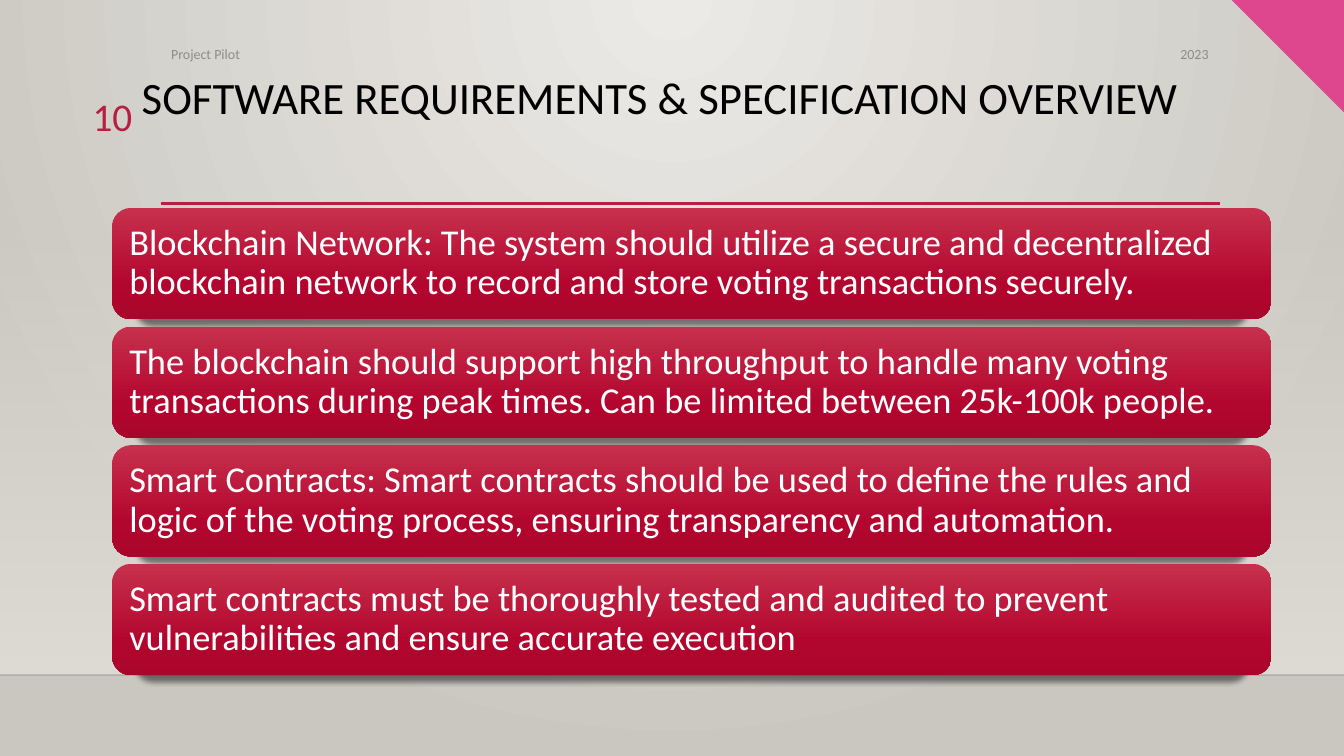
from dataclasses import dataclass

from lxml.etree import SubElement
from pptx import Presentation
from pptx.dml.color import RGBColor
from pptx.enum.shapes import MSO_CONNECTOR, MSO_SHAPE
from pptx.enum.text import MSO_ANCHOR, PP_ALIGN
from pptx.oxml import parse_xml
from pptx.oxml.ns import nsdecls, qn
from pptx.util import Pt

PX = 9525  # EMU per px, 96 px to the inch
FONT = "Calibri"
COLORS = {
    "glow": "ECEAE7", "edge": "CAC7C1", "wall": "DFDBD5", "horizon": "000001",
    "accent": "B71E42", "corner": "DE478E", "black": "000000", "grey": "8C8C8C",
    "white": "FFFFFF", "card_top": "C7304C", "card_middle": "B3062F",
    "card_bottom": "AA062C",
}
DOWN = '<a:lin ang="5400000" scaled="0"/>'
FROM_TOP = '<a:path path="circle"><a:fillToRect l="43000" r="43000" b="100000"/></a:path>'


@dataclass(frozen=True)
class Stop:
    position: int
    color: str
    opacity: int = 100


@dataclass(frozen=True)
class Label:
    text: str
    left: int
    top: int
    width: int
    height: int
    size: int
    color: str
    align: PP_ALIGN = PP_ALIGN.LEFT
    anchor: MSO_ANCHOR = MSO_ANCHOR.MIDDLE
    line_spacing: float = 1.0


@dataclass(frozen=True)
class Rule:
    left: int
    right: int
    top: int
    color: str
    weight: float
    opacity: int = 100


LABELS = [
    Label("SOFTWARE REQUIREMENTS & SPECIFICATION OVERVIEW", 125, 67, 1104, 139, 32,
          "black", anchor=MSO_ANCHOR.TOP, line_spacing=0.9),
    Label("2023", 793, 35, 368, 33, 10, "grey", PP_ALIGN.RIGHT),
    Label("Project Pilot", 153, 35, 623, 33, 10, "grey"),
    Label("10", 51, 84, 85, 53, 28, "accent", PP_ALIGN.RIGHT),
]
RULES = [
    Rule(0, 1280, 643, "horizon", 1, 20),
    Rule(153, 1162, 194, "accent", 2.5),
]
CARD_LEFT, CARD_TOP, CARD_WIDTH, CARD_HEIGHT, CARD_GAP = 107, 198, 1104, 106, 7
CARD_STOPS = [Stop(0, "card_top"), Stop(69, "card_middle"), Stop(100, "card_bottom")]
REQUIREMENTS = [
    "Blockchain Network: The system should utilize a secure and decentralized "
    "blockchain network to record and store voting transactions securely.",
    "The blockchain should support high throughput to handle many voting "
    "transactions during peak times. Can be limited between 25k-100k people.",
    "Smart Contracts: Smart contracts should be used to define the rules and "
    "logic of the voting process, ensuring transparency and automation.",
    "Smart contracts must be thoroughly tested and audited to prevent "
    "vulnerabilities and ensure accurate execution",
]


def rgb(name: str) -> RGBColor:
    return RGBColor.from_string(COLORS[name])


def set_gradient(fill, parent, stops: list[Stop], direction: str) -> None:
    fill.solid()
    stop_xml = "".join(
        f'<a:gs pos="{stop.position * 1000}"><a:srgbClr val="{COLORS[stop.color]}">'
        f'<a:alpha val="{stop.opacity * 1000}"/></a:srgbClr></a:gs>'
        for stop in stops
    )
    gradient = parse_xml(
        f'<a:gradFill {nsdecls("a")} rotWithShape="1">'
        f"<a:gsLst>{stop_xml}</a:gsLst>{direction}</a:gradFill>"
    )
    parent.replace(parent.find(qn("a:solidFill")), gradient)


def write_text(shape, label: Label, inset: tuple[int, int]) -> None:
    text_frame = shape.text_frame
    text_frame.word_wrap = True
    text_frame.vertical_anchor = label.anchor
    text_frame.margin_left = text_frame.margin_right = inset[0] * PX
    text_frame.margin_top = text_frame.margin_bottom = inset[1] * PX
    text_frame.text = label.text
    paragraph = text_frame.paragraphs[0]
    paragraph.alignment = label.align
    paragraph.line_spacing = label.line_spacing
    font = paragraph.runs[0].font
    font.name, font.size = FONT, Pt(label.size)
    font.color.rgb = rgb(label.color)


def add_label(slide, label: Label) -> None:
    box = slide.shapes.add_textbox(
        label.left * PX, label.top * PX, label.width * PX, label.height * PX)
    write_text(box, label, (10, 5))


def add_rule(slide, rule: Rule) -> None:
    connector = slide.shapes.add_connector(
        MSO_CONNECTOR.STRAIGHT,
        rule.left * PX, rule.top * PX, rule.right * PX, rule.top * PX)
    connector.line.width = Pt(rule.weight)
    connector.line.color.rgb = rgb(rule.color)
    properties = connector.element.spPr
    color = properties.find(".//" + qn("a:srgbClr"))
    SubElement(color, qn("a:alpha"), val=str(rule.opacity * 1000))
    SubElement(properties, qn("a:effectLst"))


def add_card(slide, label: Label) -> None:
    card = slide.shapes.add_shape(
        MSO_SHAPE.ROUNDED_RECTANGLE,
        label.left * PX, label.top * PX, label.width * PX, label.height * PX)
    properties = card.element.spPr
    set_gradient(card.fill, properties, CARD_STOPS, DOWN)
    card.line.fill.background()
    card.shadow.inherit = False
    # Shadow a little narrower than the card
    shadow = SubElement(
        properties.find(qn("a:effectLst")), qn("a:outerShdw"), blurRad=str(Pt(4)),
        dist=str(Pt(4)), dir="5400000", sx="96000", algn="ctr", rotWithShape="0")
    color = SubElement(shadow, qn("a:srgbClr"), val=COLORS["black"])
    SubElement(color, qn("a:alpha"), val="48000")
    write_text(card, label, (11, 11))


def add_backdrop(slide) -> None:
    set_gradient(slide.background.fill, slide.element.find(".//" + qn("p:bgPr")),
                 [Stop(0, "glow"), Stop(100, "edge")], FROM_TOP)
    wall = slide.shapes.add_shape(
        MSO_SHAPE.RECTANGLE, 0, 212 * PX, 1280 * PX, 431 * PX)
    set_gradient(wall.fill, wall.element.spPr,
                 [Stop(0, "wall", 0), Stop(100, "wall")], DOWN)
    wall.line.fill.background()
    wall.shadow.inherit = False


def add_corner(slide) -> None:
    builder = slide.shapes.build_freeform(1173, 0, scale=PX)
    builder.add_line_segments([(1280, 0), (1280, 107)], close=True)
    corner = builder.convert_to_shape()
    corner.fill.solid()
    corner.fill.fore_color.rgb = rgb("corner")
    corner.line.fill.background()
    corner.shadow.inherit = False


def main() -> None:
    presentation = Presentation()
    presentation.slide_width, presentation.slide_height = 1280 * PX, 720 * PX
    slide = presentation.slides.add_slide(presentation.slide_layouts[6])

    # Backdrop and decoration
    add_backdrop(slide)
    for rule in RULES:
        add_rule(slide, rule)
    add_corner(slide)

    # Title, header and slide number
    for label in LABELS:
        add_label(slide, label)

    # Requirement cards
    for index, requirement in enumerate(REQUIREMENTS):
        top = CARD_TOP + index * (CARD_HEIGHT + CARD_GAP)
        add_card(slide, Label(requirement, CARD_LEFT, top, CARD_WIDTH, CARD_HEIGHT,
                              26, "white", line_spacing=0.9))

    presentation.save("out.pptx")


if __name__ == "__main__":
    main()
